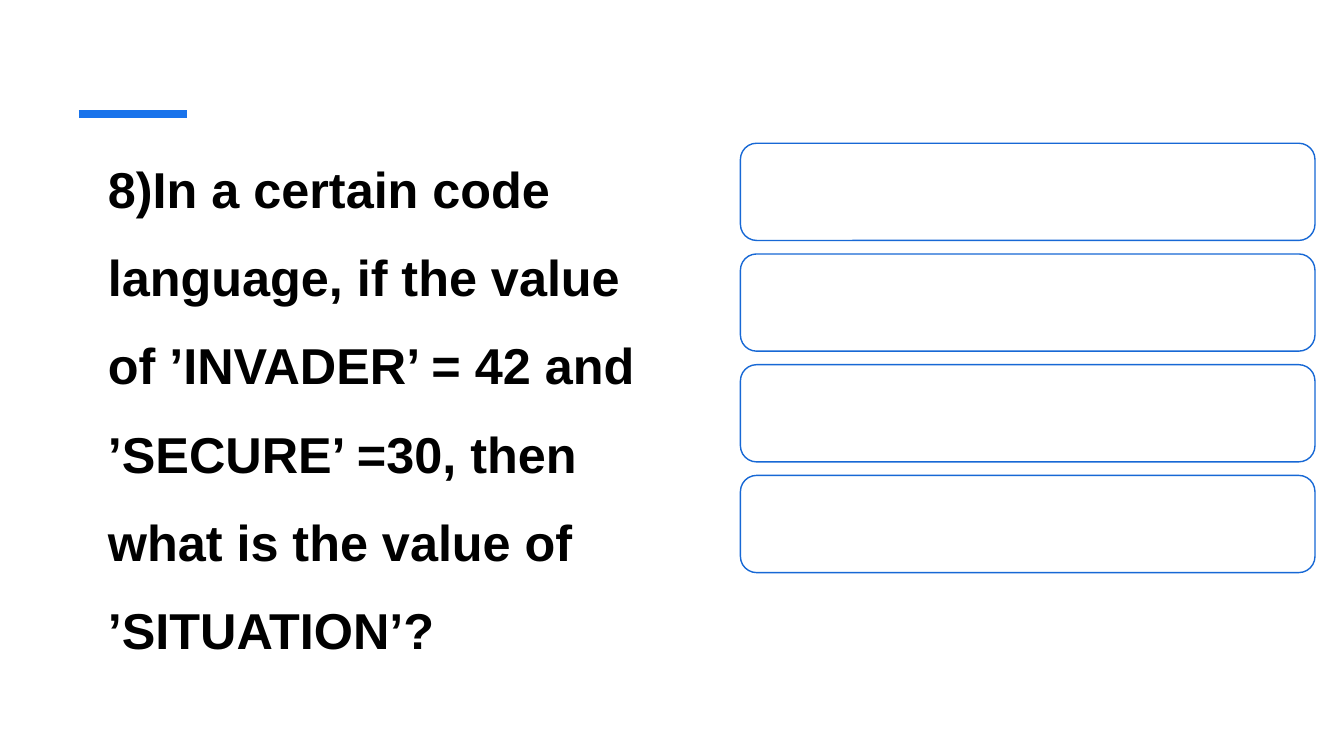
from dataclasses import dataclass

from lxml.etree import SubElement
from pptx import Presentation
from pptx.dml.color import RGBColor
from pptx.enum.shapes import MSO_CONNECTOR, MSO_SHAPE
from pptx.enum.text import MSO_ANCHOR
from pptx.oxml.ns import qn
from pptx.util import Cm, Pt


@dataclass(frozen=True)
class Theme:
    font: str = "Arial"
    question_size: int = 36
    ink: RGBColor = RGBColor(0x00, 0x00, 0x00)
    paper: RGBColor = RGBColor(0xFF, 0xFF, 0xFF)
    accent: RGBColor = RGBColor(0x19, 0x73, 0xEB)
    outline: RGBColor = RGBColor(0x17, 0x68, 0xD5)


class QuizSlide:
    def __init__(self, slide, theme):
        self.slide = slide
        self.theme = theme
        background = slide.background.fill
        background.solid()
        background.fore_color.rgb = theme.paper

    def accent_bar(self, left, right, y):
        bar = self.slide.shapes.add_connector(
            MSO_CONNECTOR.STRAIGHT, Cm(left), Cm(y), Cm(right), Cm(y)
        )
        bar.line.color.rgb = self.theme.accent
        bar.line.width = Pt(6)
        SubElement(bar._element.spPr, qn("a:effectLst"))

    def question(self, wording, left, top, width, height):
        box = self.slide.shapes.add_textbox(Cm(left), Cm(top), Cm(width), Cm(height))
        frame = box.text_frame
        frame.word_wrap = True
        frame.vertical_anchor = MSO_ANCHOR.TOP
        paragraph = frame.paragraphs[0]
        paragraph.text = wording
        paragraph.line_spacing = 1.46
        paragraph.space_before = Pt(10)
        paragraph.font.name = self.theme.font
        paragraph.font.size = Pt(self.theme.question_size)
        paragraph.font.bold = True
        paragraph.font.color.rgb = self.theme.ink

    def answer_box(self, left, top, width, height):
        answer = self.slide.shapes.add_shape(
            MSO_SHAPE.ROUNDED_RECTANGLE, Cm(left), Cm(top), Cm(width), Cm(height)
        )
        answer.shadow.inherit = False
        answer.fill.solid()
        answer.fill.fore_color.rgb = self.theme.paper
        answer.line.color.rgb = self.theme.outline
        answer.line.width = Pt(1)


def main():
    presentation = Presentation()
    presentation.slide_width = Cm(33.87)
    presentation.slide_height = Cm(19.05)
    quiz = QuizSlide(
        presentation.slides.add_slide(presentation.slide_layouts[6]), Theme()
    )

    quiz.accent_bar(left=1.99, right=4.71, y=2.87)
    quiz.question(
        "8)In a certain code language, if the value of ’INVADER’ = 42 and "
        "’SECURE’ =30, then what is the value of ’SITUATION’?",
        left=2.47, top=3.15, width=14.9, height=13.64,
    )

    answer_count, first_top, pitch = 4, 3.61, 2.79
    for index in range(answer_count):
        quiz.answer_box(18.66, first_top + index * pitch, 14.48, 2.45)

    presentation.save("out.pptx")


if __name__ == "__main__":
    main()
